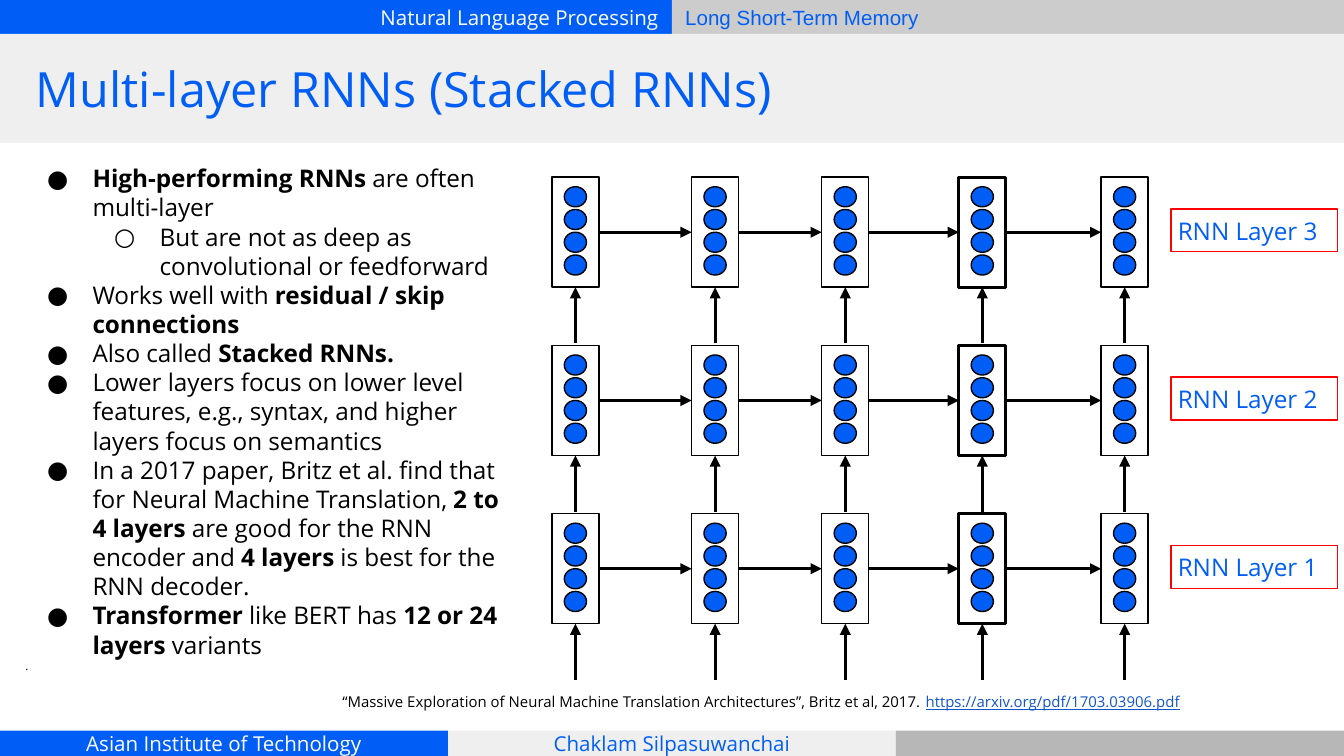
from lxml.etree import SubElement
from pptx import Presentation
from pptx.dml.color import RGBColor
from pptx.enum.shapes import MSO_CONNECTOR as Connector, MSO_SHAPE as Shape
from pptx.enum.text import MSO_ANCHOR as Anchor, MSO_AUTO_SIZE as AutoSize, PP_ALIGN as Align
from pptx.oxml.ns import qn
from pptx.util import Cm, Pt

BLUE = RGBColor(0x00, 0x5E, 0xF6)
LINK_BLUE = RGBColor(0x11, 0x55, 0xCC)
WHITE = RGBColor(0xFF, 0xFF, 0xFF)
BLACK = RGBColor(0x00, 0x00, 0x00)
RED = RGBColor(0xFF, 0x00, 0x00)
PALE_GRAY = RGBColor(0xEF, 0xEF, 0xEF)
LIGHT_GRAY = RGBColor(0xCC, 0xCC, 0xCC)
MID_GRAY = RGBColor(0xB7, 0xB7, 0xB7)

SLIDE_WIDTH, SLIDE_HEIGHT = 25.4, 14.29
HEADER_HEIGHT, FOOTER_TOP, FOOTER_HEIGHT = 0.64, 13.81, 0.48
TITLE_HEIGHT = 2.06

CELL_LEFTS = [10.43, 13.07, 15.53, 18.12, 20.81]
THICK_CELL = 3
CELL_WIDTH, CELL_HEIGHT = 0.89, 2.08
LAYER_TOP, LAYER_PITCH, LAYER_COUNT = 3.35, 3.18, 3
UNIT_WIDTH, UNIT_HEIGHT = 0.42, 0.38
UNIT_OFFSET, UNIT_PITCH, UNIT_COUNT = 0.18, 0.43, 4
INPUT_LENGTH = 1.06

BULLETS = [
    (0, [("High-performing RNNs ", True), ("are often multi-layer", False)]),
    (1, [("But are not as deep as convolutional or feedforward", False)]),
    (0, [("Works well with ", False), ("residual / skip connections", True)]),
    (0, [("Also called ", False), ("Stacked RNNs.", True)]),
    (0, [("Lower layers focus on lower level features, e.g., syntax, "
          "and higher layers focus on semantics", False)]),
    (0, [("In a 2017 paper, Britz et al. find that for Neural Machine Translation, ", False),
         ("2 to 4 layers", True), (" are good for the RNN encoder and ", False),
         ("4 layers", True), (" is best for the RNN decoder.", False)]),
    (0, [("Transformer", True), (" like BERT has ", False),
         ("12 or 24 layers", True), (" variants", False)]),
]


class SlideBuilder:
    font = "Open Sans"
    body_size = 13
    bar_size = 11

    def __init__(self, presentation):
        self.slide = presentation.slides.add_slide(presentation.slide_layouts[5])

    def run(self, paragraph, text, size, color, bold=False, underline=False, font=None):
        run = paragraph.add_run()
        run.text = text
        run.font.name = font or self.font
        run.font.size = Pt(size)
        run.font.color.rgb = color
        run.font.bold = bold
        run.font.underline = underline

    def frame(self, shape, inset, vertical_inset, anchor):
        frame = shape.text_frame
        frame.auto_size = AutoSize.NONE
        frame.word_wrap = True
        frame.margin_left = frame.margin_right = Cm(inset)
        frame.margin_top = frame.margin_bottom = Cm(vertical_inset)
        frame.vertical_anchor = anchor
        return frame

    def shape(self, kind, left, top, width, height, fill=None, line=None, weight=0.75):
        shape = self.slide.shapes.add_shape(kind, Cm(left), Cm(top), Cm(width), Cm(height))
        shape.shadow.inherit = False
        if fill is None:
            shape.fill.background()
        else:
            shape.fill.solid()
            shape.fill.fore_color.rgb = fill
        if line is None:
            shape.line.fill.background()
        else:
            shape.line.color.rgb = line
            shape.line.width = Pt(weight)
        return shape

    def bar(self, left, top, width, height, fill, text="", color=BLUE, align=Align.CENTER, font=None):
        bar = self.shape(Shape.RECTANGLE, left, top, width, height, fill)
        if text:
            paragraph = self.frame(bar, 0.25, 0, Anchor.MIDDLE).paragraphs[0]
            paragraph.alignment = align
            self.run(paragraph, text, self.bar_size, color, font=font)

    def title(self, text):
        title = self.slide.shapes.title
        title.left, title.top = Cm(0.43), Cm(HEADER_HEIGHT)
        title.width, title.height = Cm(24.55), Cm(TITLE_HEIGHT)
        title.element.getparent().append(title.element)
        paragraph = self.frame(title, 0.25, 0.25, Anchor.MIDDLE).paragraphs[0]
        paragraph.alignment = Align.LEFT
        self.run(paragraph, text, 26, BLUE)

    def text_box(self, left, top, width, height):
        box = self.slide.shapes.add_textbox(Cm(left), Cm(top), Cm(width), Cm(height))
        return self.frame(box, 0.25, 0.25, Anchor.TOP)

    def bullet(self, paragraph, level, runs):
        paragraph.level = level
        properties = paragraph._p.get_or_add_pPr()
        properties.set("marL", str(Cm(1.27 * (level + 1))))
        properties.set("indent", str(-Cm(0.86)))
        color = SubElement(properties, qn("a:buClr"))
        SubElement(color, qn("a:srgbClr")).set("val", str(BLACK))
        SubElement(properties, qn("a:buFont")).set("typeface", self.font)
        SubElement(properties, qn("a:buChar")).set("char", "●○"[level])
        for text, bold in runs:
            self.run(paragraph, text, self.body_size, BLACK, bold)

    def arrow(self, start_x, start_y, end_x, end_y):
        arrow = self.slide.shapes.add_connector(
            Connector.STRAIGHT, Cm(start_x), Cm(start_y), Cm(end_x), Cm(end_y))
        arrow.line.color.rgb = BLACK
        arrow.line.width = Pt(1.5)
        SubElement(arrow.line._get_or_add_ln(), qn("a:tailEnd")).set("type", "triangle")
        SubElement(arrow._element.spPr, qn("a:effectLst"))

    def cell(self, left, top, weight):
        self.shape(Shape.RECTANGLE, left, top, CELL_WIDTH, CELL_HEIGHT, line=BLACK, weight=weight)
        unit_left = left + (CELL_WIDTH - UNIT_WIDTH) / 2
        for index in range(UNIT_COUNT):
            self.shape(Shape.OVAL, unit_left, top + UNIT_OFFSET + index * UNIT_PITCH,
                       UNIT_WIDTH, UNIT_HEIGHT, BLUE, BLACK)

    def layer(self, top):
        for index, left in enumerate(CELL_LEFTS):
            self.cell(left, top, 1.5 if index == THICK_CELL else 0.75)
            center = left + CELL_WIDTH / 2
            bottom = top + CELL_HEIGHT
            self.arrow(center, bottom + INPUT_LENGTH, center, bottom)
        middle = top + CELL_HEIGHT / 2
        for left, next_left in zip(CELL_LEFTS, CELL_LEFTS[1:]):
            self.arrow(left + CELL_WIDTH, middle, next_left, middle)

    def layer_label(self, text, top):
        label = self.shape(Shape.RECTANGLE, 22.13, top, 3.15, 0.81, line=RED)
        paragraph = self.frame(label, 0.13, 0.13, Anchor.TOP).paragraphs[0]
        paragraph.alignment = Align.LEFT
        self.run(paragraph, text, self.body_size, BLUE)


def main():
    presentation = Presentation()
    presentation.slide_width = Cm(SLIDE_WIDTH)
    presentation.slide_height = Cm(SLIDE_HEIGHT)
    builder = SlideBuilder(presentation)

    half, third = SLIDE_WIDTH / 2, SLIDE_WIDTH / 3
    builder.bar(0, 0, half, HEADER_HEIGHT, BLUE, "Natural Language Processing", WHITE, Align.RIGHT)
    builder.bar(half, 0, half, HEADER_HEIGHT, LIGHT_GRAY, "Long Short-Term Memory",
                align=Align.LEFT, font="Arial")
    footers = [(BLUE, "Asian Institute of Technology", WHITE),
               (PALE_GRAY, "Chaklam Silpasuwanchai", BLUE),
               (MID_GRAY, "", BLUE)]
    for index, (fill, text, color) in enumerate(footers):
        builder.bar(index * third, FOOTER_TOP, third, FOOTER_HEIGHT, fill, text, color)
    builder.bar(0, HEADER_HEIGHT, SLIDE_WIDTH, TITLE_HEIGHT, PALE_GRAY)
    builder.title("Multi-layer RNNs (Stacked RNNs)")

    for index in range(LAYER_COUNT):
        top = LAYER_TOP + index * LAYER_PITCH
        builder.layer(top)
        builder.layer_label(f"RNN Layer {LAYER_COUNT - index}", top + 0.6)

    body = builder.text_box(0.23, 2.84, 9.78, 10.21)
    paragraph = body.paragraphs[0]
    for level, runs in BULLETS:
        builder.bullet(paragraph, level, runs)
        paragraph = body.add_paragraph()
    builder.run(paragraph, ".", 6, BLACK)

    citation = builder.text_box(6.22, 12.85, 17.98, 0.86).paragraphs[0]
    builder.run(citation, "“Massive Exploration of Neural Machine Translation Architectures”, "
                "Britz et al, 2017. ", 8, BLACK)
    builder.run(citation, "https://arxiv.org/pdf/1703.03906.pdf", 8, LINK_BLUE, underline=True)

    presentation.save("out.pptx")


if __name__ == "__main__":
    main()
